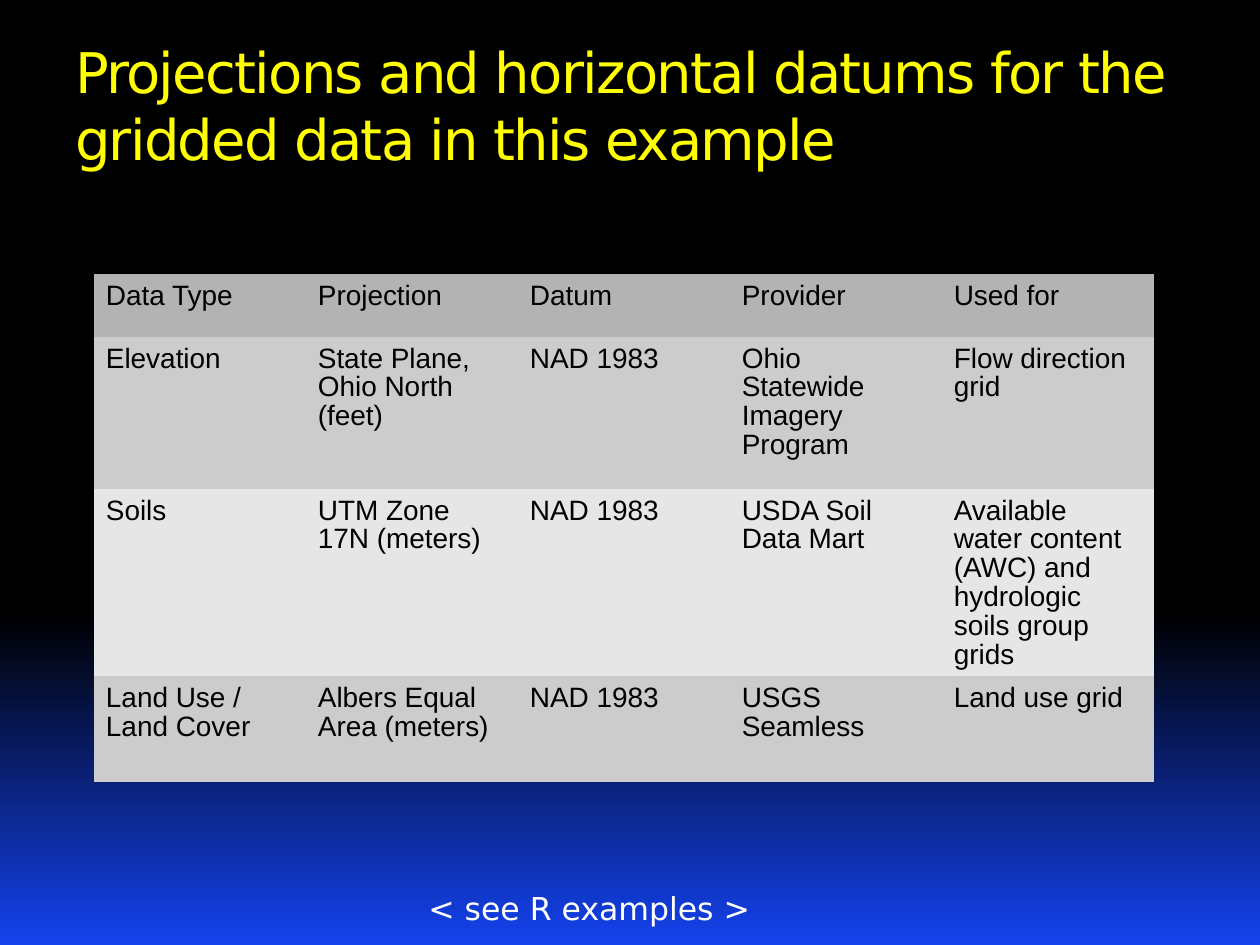
from lxml import etree
from pptx import Presentation
from pptx.dml.color import RGBColor
from pptx.enum.text import MSO_ANCHOR, MSO_AUTO_SIZE, PP_ALIGN
from pptx.oxml.ns import qn
from pptx.util import Pt

TOP, LEFT = MSO_ANCHOR.TOP, PP_ALIGN.LEFT
NO_FIT, GROW = MSO_AUTO_SIZE.NONE, MSO_AUTO_SIZE.SHAPE_TO_FIT_TEXT

BLACK = RGBColor(0x00, 0x00, 0x00)
WHITE = RGBColor(0xFF, 0xFF, 0xFF)
BLUE = RGBColor(0x14, 0x42, 0xEE)
YELLOW = RGBColor(0xFF, 0xFF, 0x00)
HEADER_GREY = RGBColor(0xB3, 0xB3, 0xB3)
BAND_GREYS = (RGBColor(0xCC, 0xCC, 0xCC), RGBColor(0xE6, 0xE6, 0xE6))

EMU_PER_PX = 914400 / 126
BORDER_EMU = 360

ROWS = [
    ("Data Type", "Projection", "Datum", "Provider", "Used for"),
    ("Elevation", "State Plane, Ohio North (feet)", "NAD 1983",
     "Ohio Statewide Imagery Program", "Flow direction grid"),
    ("Soils", "UTM Zone 17N (meters)", "NAD 1983", "USDA Soil Data Mart",
     "Available water content (AWC) and hydrologic soils group grids"),
    ("Land Use / Land Cover", "Albers Equal Area (meters)", "NAD 1983",
     "USGS Seamless", "Land use grid"),
]
ROW_HEIGHTS = (63, 152, 159, 106)
COLUMN_WIDTH = 212


def px(n):
    return round(n * EMU_PER_PX)


class SlideBuilder:
    title_font = {"name": "DejaVu Sans", "size": Pt(32)}
    note_font = {"name": "DejaVu Sans", "size": Pt(18)}
    cell_font = {"name": "Arial", "size": Pt(16), "bold": False}

    def __init__(self, s):
        self.s = s

    def set_all(self, target, values):
        for name, value in values.items():
            setattr(target, name, value)

    def add_text(self, tf, text, font, color):
        p = tf.paragraphs[0]
        p.alignment = LEFT
        r = p.add_run()
        r.text = text
        self.set_all(r.font, font)
        r.font.color.rgb = color
        return p, r

    def background(self, start, end, start_at):
        fill = self.s.background.fill
        fill.gradient()
        fill.gradient_angle = 270
        for stop, color, at in zip(fill.gradient_stops, (start, end), (start_at, 1)):
            stop.color.rgb = color
            stop.position = at

    def title(self, text, left, top, width, height):
        sp = self.s.shapes.title
        self.set_all(sp, {"left": px(left), "top": px(top),
                          "width": px(width), "height": px(height)})
        tf = sp.text_frame
        self.set_all(tf, {"word_wrap": True, "auto_size": NO_FIT, "vertical_anchor": TOP,
                          "margin_left": px(12), "margin_right": px(12),
                          "margin_top": px(4), "margin_bottom": px(6)})
        _, r = self.add_text(tf, text, self.title_font, YELLOW)
        r._r.get_or_add_rPr().set("spc", "-100")  # tighter letters, 1/100 pt

    def note(self, text, left, top, width, height):
        sp = self.s.shapes.add_textbox(px(left), px(top), px(width), px(height))
        self.set_all(sp.text_frame, {"word_wrap": False, "auto_size": GROW})
        self.add_text(sp.text_frame, text, self.note_font, WHITE)

    def border(self, cell, color):
        tc_pr = cell._tc.get_or_add_tcPr()
        for i, side in enumerate(("lnL", "lnR", "lnT", "lnB")):
            ln = etree.Element(qn(f"a:{side}"), w=str(BORDER_EMU))
            fill = etree.SubElement(ln, qn("a:solidFill"))
            etree.SubElement(fill, qn("a:srgbClr"), val=str(color))
            tc_pr.insert(i, ln)

    def table(self, rows, left, top, column_width, row_heights):
        n_cols = len(rows[0])
        table = self.s.shapes.add_table(
            len(rows), n_cols, px(left), px(top),
            px(column_width * n_cols), px(sum(row_heights))).table
        for column in table.columns:
            column.width = px(column_width)
        for i, (texts, height) in enumerate(zip(rows, row_heights)):
            table.rows[i].height = px(height)
            color = BAND_GREYS[(i - 1) % 2] if i else HEADER_GREY
            for j, text in enumerate(texts):
                cell = table.cell(i, j)
                self.set_all(cell, {"margin_left": px(12), "margin_right": px(12),
                                    "margin_top": px(8), "margin_bottom": px(6),
                                    "vertical_anchor": TOP})
                cell.fill.solid()
                cell.fill.fore_color.rgb = color
                self.border(cell, WHITE)
                p, _ = self.add_text(cell.text_frame, text, self.cell_font, BLACK)
                p.line_spacing = 0.93


def main():
    prs = Presentation()
    prs.slide_width, prs.slide_height = px(1260), px(945)
    slide = SlideBuilder(prs.slides.add_slide(prs.slide_layouts[5]))

    # Backdrop and heading
    slide.background(BLACK, BLUE, 0.65)
    slide.title("Projections and horizontal datums for the gridded data in this example",
                63, 33, 1134, 66)

    # Data sources
    slide.table(ROWS, 94, 274, COLUMN_WIDTH, ROW_HEIGHTS)

    # Pointer to the examples
    slide.note("< see R examples >", 416, 883, 352, 50)

    prs.save("out.pptx")


if __name__ == "__main__":
    main()
